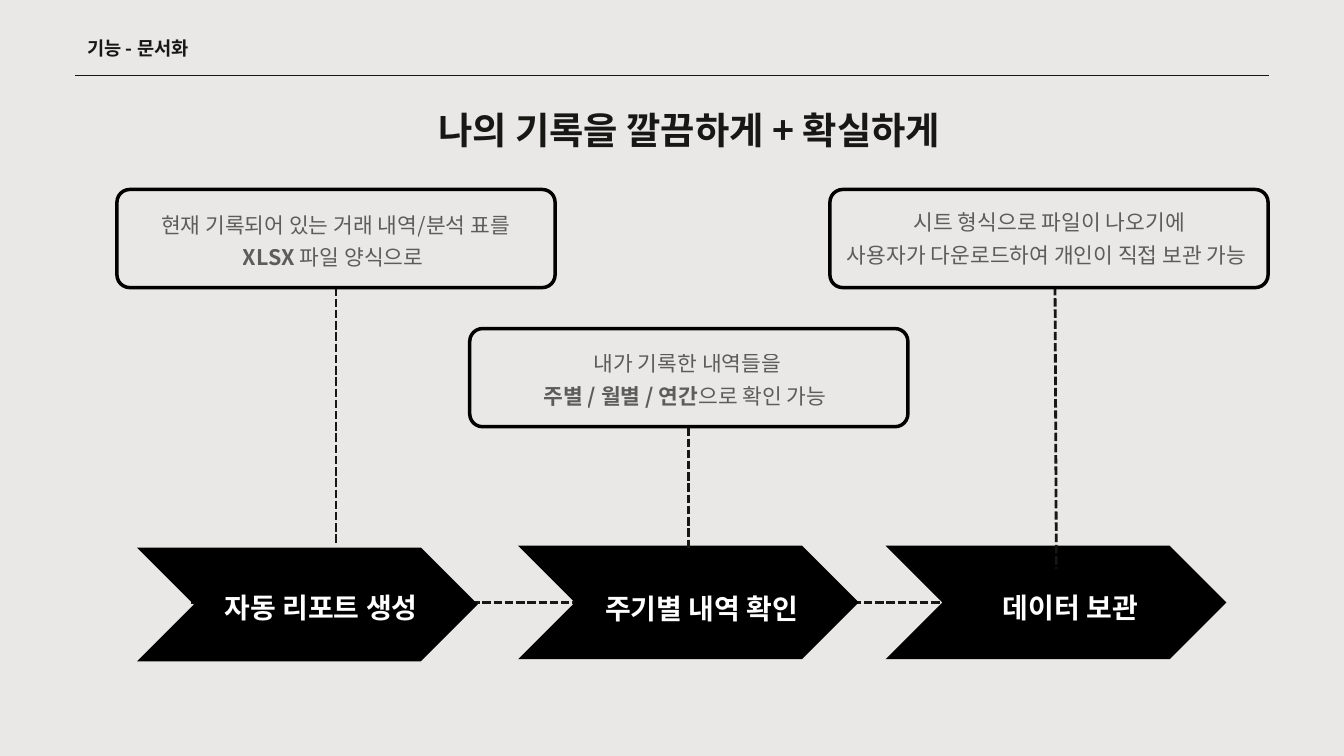
"""Build the documentation feature slide: three steps with callouts."""
from lxml import etree
from pptx import Presentation
from pptx.dml.color import RGBColor
from pptx.enum.dml import MSO_LINE
from pptx.enum.shapes import MSO_CONNECTOR, MSO_SHAPE
from pptx.enum.text import MSO_ANCHOR, PP_ALIGN
from pptx.oxml.ns import qn
from pptx.util import Inches, Pt

DASH, STRAIGHT = MSO_LINE.SQUARE_DOT, MSO_CONNECTOR.STRAIGHT
CHEVRON, ROUNDED = MSO_SHAPE.CHEVRON, MSO_SHAPE.ROUNDED_RECTANGLE
TOP, LEFT, CENTER = MSO_ANCHOR.TOP, PP_ALIGN.LEFT, PP_ALIGN.CENTER

COLORS = {"paper": "E9E8E6", "ink": "171714", "black": "000000", "white": "FFFFFF"}
KR, SC = "Noto Sans CJK KR", "Noto Sans CJK SC"
STYLES = {
    "header": dict(size=20, leading=28, font=KR, color="ink", bold=True, align=LEFT),
    "title": dict(size=40, leading=56, font=SC, color="ink", bold=True, align=CENTER),
    "step": dict(size=30, leading=42, font=SC, color="white", bold=True, align=CENTER),
    "note": dict(size=23, leading=34.5, font=SC, color="black", bold=False,
                 align=CENTER, alpha=60),
}

HEADER = "기능 - 문서화"
TITLE = "나의 기록을 깔끔하게 + 확실하게"
STEPS = [
    {"label": "자동 리포트 생성", "arrow": (2.04, 8.15), "label_at": (3.26, 8.71),
     "card": (1.74, 2.82), "note_at": (2.03, 3.06, 5.93), "stem": (5, 4.28, 5, 8.1),
     "note": [[("현재 기록되어 있는 거래 내역/분석 표를", False)],
              [("XLSX ", True), ("파일 양식으로 ", False)]]},
    {"label": "주기별 내역 확인", "arrow": (7.71, 8.12), "label_at": (8.92, 8.72),
     "card": (6.99, 4.89), "note_at": (7.59, 5.12, 5.28), "stem": (10.25, 6.36, 10.25, 8.15),
     "note": [[("내가 기록한 내역들을", False)],
              [("주별 / 월별 / 연간", True), ("으로 확인 가능 ", False)]]},
    {"label": "데이터 보관", "arrow": (13.18, 8.12), "label_at": (14.41, 8.71),
     "card": (12.35, 2.82), "note_at": (12.42, 3.02, 6.39), "stem": (15.7, 4.27, 15.72, 8.46),
     "note": [[("시트 형식으로 파일이 나오기에", False)],
              [("사용자가 다운로드하여 개인이 직접 보관 가능 ", False)]]},
]
ARROW_W, ARROW_H = 5.07, 1.69
CARD_W, CARD_H, CARD_RADIUS = 6.52, 1.46, 0.19


def rgb(name):
    return RGBColor.from_string(COLORS[name])


def write(sp, lines, style):
    st, tf = STYLES[style], sp.text_frame
    frame = dict(margin_left=0, margin_right=0, margin_top=0, margin_bottom=0,
                 word_wrap=True, vertical_anchor=TOP)
    for key, value in frame.items():
        setattr(tf, key, value)
    for i, line in enumerate(lines):
        p = tf.add_paragraph() if i else tf.paragraphs[0]
        for key, value in dict(alignment=st["align"], line_spacing=Pt(st["leading"]),
                               space_before=Pt(0)).items():
            setattr(p, key, value)
        for text, bold in line:
            r = p.add_run()
            r.text = text
            for key, value in dict(size=Pt(st["size"]), bold=bold, name=st["font"]).items():
                setattr(r.font, key, value)
            r.font.color.rgb = rgb(st["color"])
            rpr = r.font._element
            if "alpha" in st:
                clr = rpr.find(qn("a:solidFill"))[0]
                etree.SubElement(clr, qn("a:alpha")).set("val", str(st["alpha"] * 1000))
            ea = etree.Element(qn("a:ea"), typeface=st["font"])
            rpr.find(qn("a:latin")).addnext(ea)


def add_text(s, box, lines, style):
    write(s.shapes.add_textbox(*map(Inches, box)), lines, style)


def add_line(s, ends, width=3, dash=DASH):
    ln = s.shapes.add_connector(STRAIGHT, *map(Inches, ends))
    ln.line.color.rgb = rgb("ink")
    ln.line.width = Pt(width)
    if dash:
        ln.line.dash_style = dash
    etree.SubElement(ln._element.spPr, qn("a:effectLst"))


def add_arrow(s, at):
    sp = s.shapes.add_shape(CHEVRON, *map(Inches, (*at, ARROW_W, ARROW_H)))
    sp.shadow.inherit = False
    sp.adjustments[0] = 0.5
    sp.fill.solid()
    sp.fill.fore_color.rgb = rgb("black")
    sp.line.fill.background()


def add_card(s, at):
    sp = s.shapes.add_shape(ROUNDED, *map(Inches, (*at, CARD_W, CARD_H)))
    sp.shadow.inherit = False
    sp.adjustments[0] = CARD_RADIUS / CARD_H
    sp.fill.background()
    sp.line.color.rgb = rgb("black")
    sp.line.width = Pt(3.75)


def main():
    prs = Presentation()
    prs.slide_width, prs.slide_height = Inches(20), Inches(11.25)
    s = prs.slides.add_slide(prs.slide_layouts[5])
    s.background.fill.solid()
    s.background.fill.fore_color.rgb = rgb("paper")

    title = s.shapes.title
    title.left, title.top, title.width, title.height = map(Inches, (6.32, 1.49, 7.87, 0.73))
    write(title, [[(TITLE, True)]], "title")
    add_text(s, (1.3, 0.5, 1.7, 0.37), [[(HEADER, True)]], "header")
    add_line(s, (1.12, 1.12, 18.88, 1.12), 0.75, None)
    add_line(s, (2.84, 8.96, 15.08, 8.96))

    for step in STEPS:
        add_arrow(s, step["arrow"])
        add_line(s, step["stem"])
        add_card(s, step["card"])
        add_text(s, (*step["label_at"], 3.04, 0.57), [[(step["label"], True)]], "step")
        add_text(s, (*step["note_at"], 0.94), step["note"], "note")

    prs.save("out.pptx")


if __name__ == "__main__":
    main()
